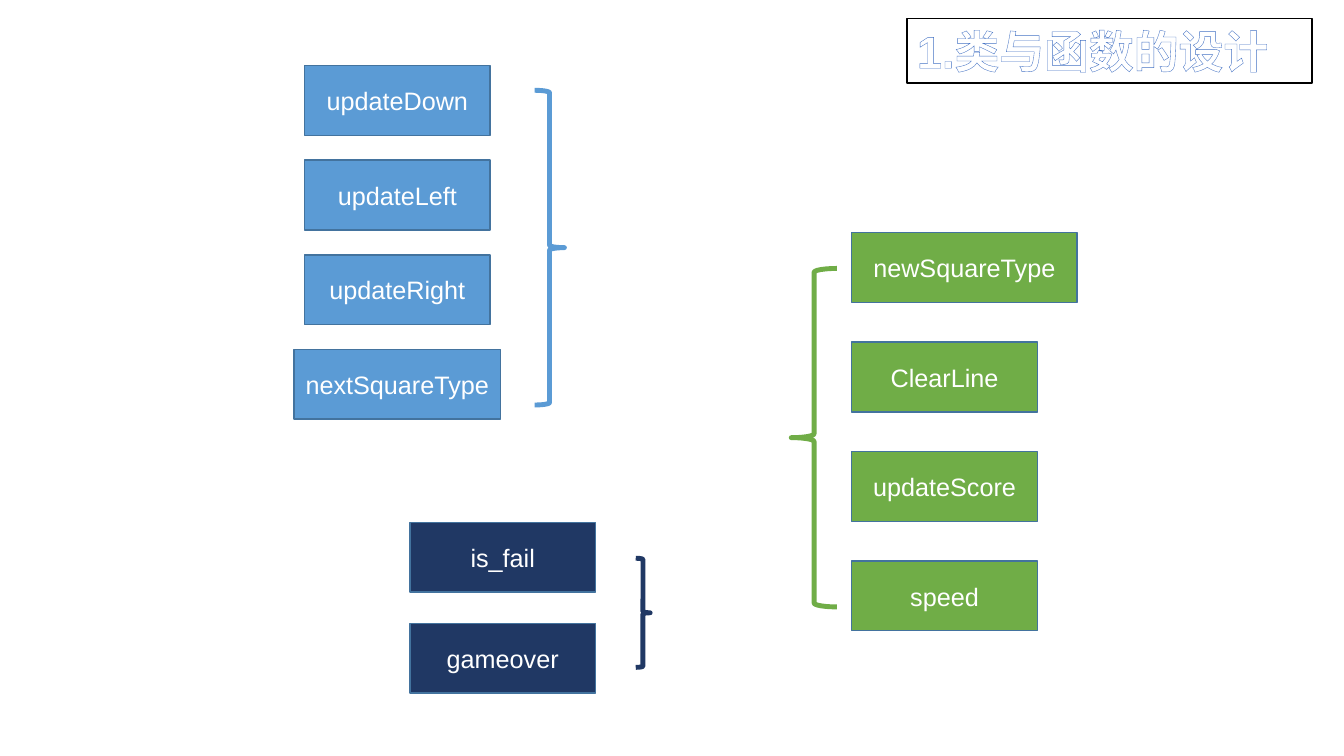
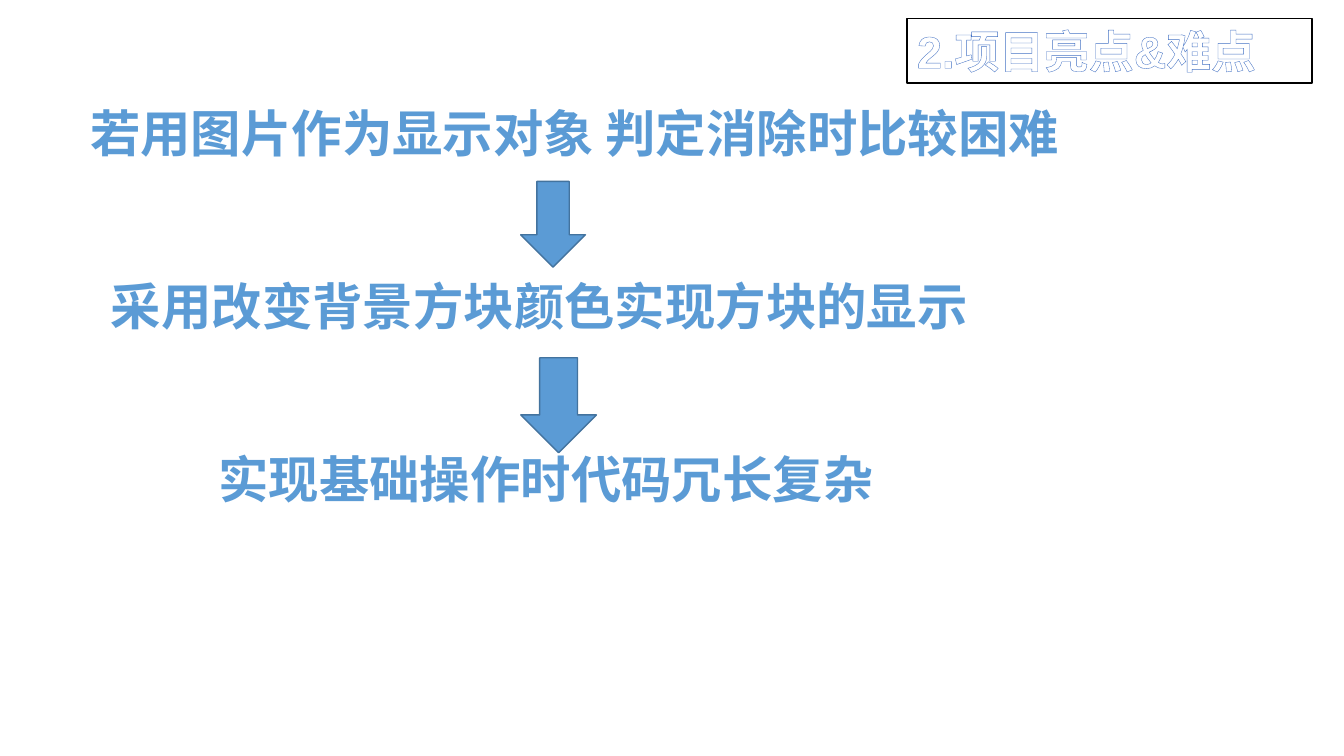
import pptx
import pptx.util
import pptx.dml.color
import pptx.enum.shapes
import pptx.enum.text
import pptx.oxml
import pptx.oxml.ns

RGB = pptx.dml.color.RGBColor
SHAPE = pptx.enum.shapes.MSO_SHAPE
ALIGN = pptx.enum.text.PP_ALIGN
ANCHOR = pptx.enum.text.MSO_ANCHOR
FIT = pptx.enum.text.MSO_AUTO_SIZE

WHITE = RGB(0xFF, 0xFF, 0xFF)
BLACK = RGB(0x00, 0x00, 0x00)
BLUE = RGB(0x5B, 0x9B, 0xD5)
EDGE = RGB(0x43, 0x73, 0x9E)
GREEN = RGB(0x70, 0xAD, 0x47)
NAVY = RGB(0x20, 0x38, 0x64)
GLOW = RGB(0x44, 0x72, 0xC4)
FONT = "Arial"

# The slide is a grid of 160 columns by 90 rows; boxes are left, top, width, height.
COLS, ROWS = 160, 90
UNIT = pptx.util.Inches(1) / 12
TITLE = (108, 2.2, 48.2, 7.7)
TILE_W, TILE_H = 22.1, 8.3
LINE_H = 8.5


def scale(box):
    return [round(n * UNIT) for n in box]


def draw(slide, kind, box, fill, line, width=1):
    shape = slide.shapes.add_shape(kind, *scale(box))
    shape.shadow.inherit = False
    if fill is None:
        shape.fill.background()
    else:
        shape.fill.solid()
        shape.fill.fore_color.rgb = fill
    shape.line.color.rgb = line
    shape.line.width = pptx.util.Pt(width)
    return shape


def write(shape, text, size, color, bold=False, align=ALIGN.CENTER):
    para = shape.text_frame.paragraphs[0]
    para.text = text
    para.alignment = align
    run = para.runs[0]
    run.font.name = FONT
    run.font.size = pptx.util.Pt(size)
    run.font.bold = bold
    run.font.color.rgb = color
    return run


def outline(run, color, width):
    """Give the letters of a run a thin outline."""
    line = pptx.oxml.parse_xml(
        f'<a:ln {pptx.oxml.ns.nsdecls("a")} w="{pptx.util.Pt(width)}">'
        f'<a:solidFill><a:srgbClr val="{color}"/></a:solidFill></a:ln>')
    run.font._element.insert(0, line)


def title(slide, text):
    shape = draw(slide, SHAPE.RECTANGLE, TITLE, WHITE, BLACK)
    frame = shape.text_frame
    frame.word_wrap = True
    frame.auto_size = FIT.SHAPE_TO_FIT_TEXT
    frame.vertical_anchor = ANCHOR.TOP
    outline(write(shape, text, 32, WHITE, True, ALIGN.LEFT), GLOW, 0.8)


def group(slide, box, names, color, brace, wide=None, left=False):
    """Stack tiles in a box, with a brace on one side.

    brace holds width, top and height as shares of the box;
    wide maps a name to a tile width other than the usual one.
    """
    x, y, w, h = box
    wide = wide or {}
    sizes = [wide.get(name, TILE_W) for name in names]
    col = max(sizes)
    start = x + w - col if left else x
    pitch = (h - TILE_H) / (len(names) - 1)
    for row, (name, size) in enumerate(zip(names, sizes)):
        shift = 0 if left else (col - size) / 2
        tile = draw(slide, SHAPE.RECTANGLE,
                    (start + shift, y + row * pitch, size, TILE_H), color, EDGE)
        tile.text_frame.vertical_anchor = ANCHOR.MIDDLE
        write(tile, name, 18, WHITE)
    span, top, tall = brace[0] * w, brace[1] * h, brace[2] * h
    kind = SHAPE.LEFT_BRACE if left else SHAPE.RIGHT_BRACE
    edge = x if left else x + w - span
    draw(slide, kind, (edge, y + top, span, tall), None, color, 3.5)


def flow(slide, box, lines, arrows):
    """Spread lines of text down a box, with arrows between them."""
    x, y, w, h = box
    pitch = (h - LINE_H) / (len(lines) - 1)
    for row, (text, shift, size) in enumerate(lines):
        area = (x + shift, y + row * pitch, size, LINE_H)
        label = slide.shapes.add_textbox(*scale(area))
        label.text_frame.word_wrap = False
        label.text_frame.auto_size = FIT.SHAPE_TO_FIT_TEXT
        write(label, text, 36, BLUE, True)
    for shift, drop, size, tall in arrows:
        draw(slide, SHAPE.DOWN_ARROW, (x + shift, y + drop, size, tall), BLUE, EDGE)


def design(slide):
    title(slide, "1.类与函数的设计")
    group(slide, (35, 7.8, 32.2, 42.1),
          ["updateDown", "updateLeft", "updateRight", "nextSquareType"],
          BLUE, (0.11, 0.07, 0.89), {"nextSquareType": 24.6})
    group(slide, (94.2, 27.7, 34, 47.4),
          ["newSquareType", "ClearLine", "updateScore", "speed"],
          GREEN, (0.16, 0.09, 0.85), {"newSquareType": 26.8}, left=True)
    group(slide, (48.8, 62.2, 28.6, 20.3), ["is_fail", "gameover"],
          NAVY, (0.06, 0.21, 0.64))


def points(slide):
    title(slide, "2.项目亮点&难点")
    flow(slide, (9.4, 11.6, 118, 49.6),
         [("若用图片作为显示对象 判定消除时比较困难", 0, 118),
          ("采用改变背景方块颜色实现方块的显示", 2.6, 104.4),
          ("实现基础操作时代码冗长复杂", 15.4, 80.4)],
         [(52.6, 10, 7.7, 10.2), (52.6, 31, 9, 11.3)])


def main():
    deck = pptx.Presentation()
    deck.slide_width, deck.slide_height = scale((COLS, ROWS))
    for build in (design, points):
        build(deck.slides.add_slide(deck.slide_layouts[6]))
    deck.save("out.pptx")


if __name__ == "__main__":
    main()
